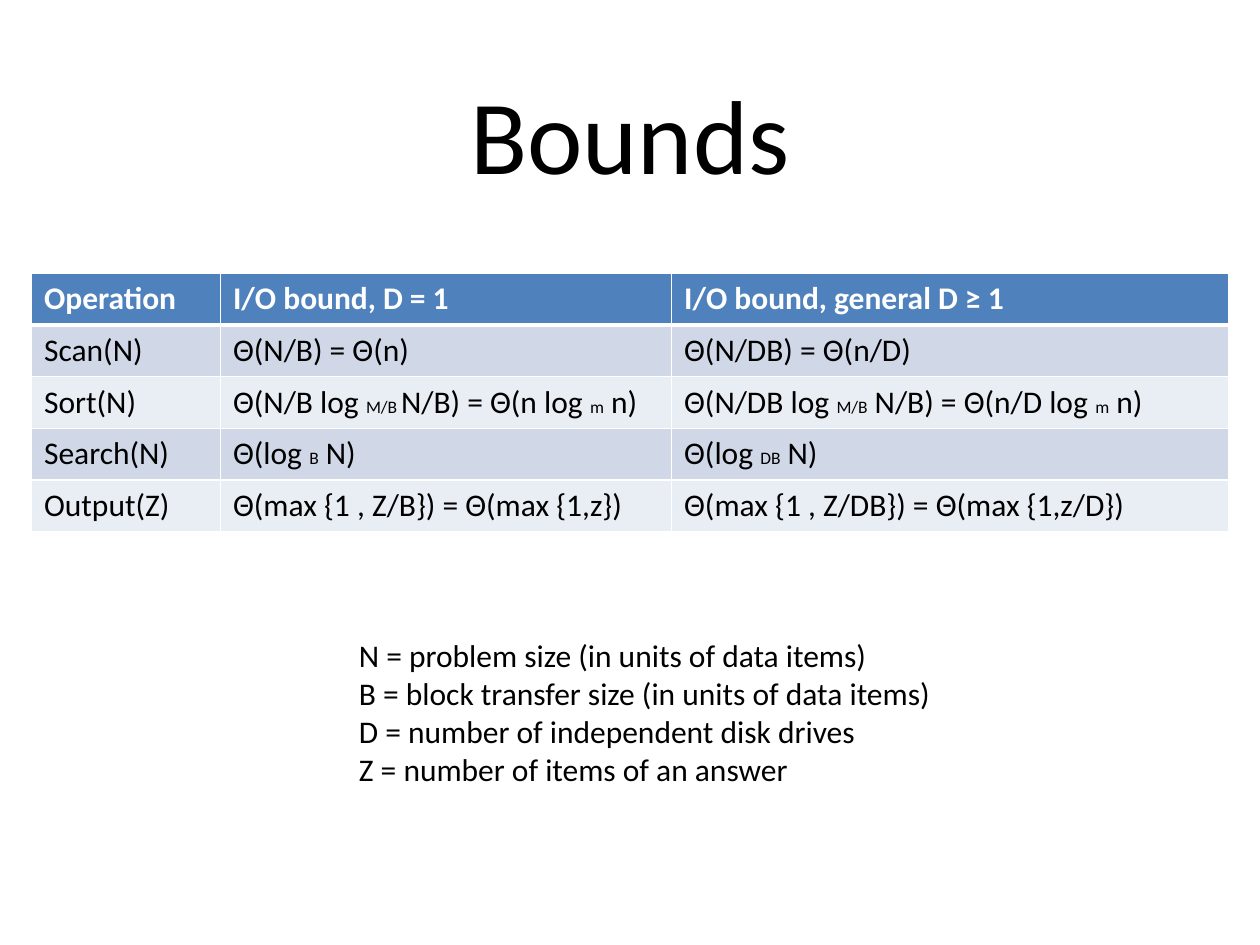
import pptx
import pptx.dml.color
import pptx.enum.text
import pptx.oxml
import pptx.oxml.ns
import pptx.util

Inches = pptx.util.Inches
Pt = pptx.util.Pt
RGBColor = pptx.dml.color.RGBColor

BLACK = RGBColor(0, 0, 0)
WHITE = RGBColor(255, 255, 255)
BLUE = RGBColor(0x4F, 0x81, 0xBD)
BANDS = RGBColor(0xD0, 0xD8, 0xE8), RGBColor(0xE9, 0xED, 0xF4)

# Text between a pair of tildes is set small, as the base of a logarithm.
BOUNDS = [
    ["Operation", "I/O bound, D = 1", "I/O bound, general D ≥ 1"],
    ["Scan(N)", "Θ(N/B) = Θ(n)", "Θ(N/DB) = Θ(n/D)"],
    ["Sort(N)", "Θ(N/B log ~M/B ~N/B) = Θ(n log ~m~ n)",
     "Θ(N/DB log ~M/B~ N/B) = Θ(n/D log ~m~ n)"],
    ["Search(N)", "Θ(log ~B~ N)", "Θ(log ~DB~ N)"],
    ["Output(Z)", "Θ(max {1 , Z/B}) = Θ(max {1,z})",
     "Θ(max {1 , Z/DB}) = Θ(max {1,z/D})"],
]
TERMS = [
    "N = problem size (in units of data items)",
    "B = block transfer size (in units of data items)",
    "D = number of independent disk drives",
    "Z = number of items of an answer",
]


class Deck:
    font = "Calibri"
    size = 18
    small = 10

    def __init__(self, wide, high):
        self.file = pptx.Presentation()
        self.file.slide_width = Inches(wide)
        self.file.slide_height = Inches(high)
        self.slide = self.file.slides.add_slide(self.file.slide_layouts[5])

    def text(self, para, words, size=size, color=BLACK, bold=False):
        for i, part in enumerate(words.split("~")):
            run = para.add_run()
            run.text = part
            run.font.name = self.font
            run.font.size = Pt(self.small if i % 2 else size)
            run.font.bold = bold
            run.font.color.rgb = color

    def title(self, words, left, top, width, height):
        shape = self.slide.shapes.title
        shape.left, shape.top = Inches(left), Inches(top)
        shape.width, shape.height = Inches(width), Inches(height)
        frame = shape.text_frame
        frame.auto_size = pptx.enum.text.MSO_AUTO_SIZE.NONE
        para = frame.paragraphs[0]
        para.alignment = pptx.enum.text.PP_ALIGN.CENTER
        self.text(para, words, 60)

    def lines(self, rows, left, top, width, height):
        box = self.slide.shapes.add_textbox(
            Inches(left), Inches(top), Inches(width), Inches(height))
        frame = box.text_frame
        frame.word_wrap = True
        for i, row in enumerate(rows):
            para = frame.add_paragraph() if i else frame.paragraphs[0]
            self.text(para, row)

    def edge(self, cell, side, width):
        line = pptx.oxml.parse_xml(
            f'<a:ln{side} {pptx.oxml.ns.nsdecls("a")} w="{Pt(width)}">'
            f'<a:solidFill><a:srgbClr val="{WHITE}"/></a:solidFill></a:ln{side}>')
        cell._tc.get_or_add_tcPr().append(line)

    def table(self, rows, left, top, widths, high):
        grid = self.slide.shapes.add_table(
            len(rows), len(widths), Inches(left), Inches(top),
            Inches(sum(widths)), Inches(high * len(rows))).table
        for col, width in zip(grid.columns, widths):
            col.width = Inches(width)
        for r, row in enumerate(rows):
            head = r == 0
            for c, words in enumerate(row):
                cell = grid.cell(r, c)
                for side in "LRTB":
                    thick = (head and side == "B") or (r == 1 and side == "T")
                    self.edge(cell, side, 3 if thick else 1)
                cell.fill.solid()
                cell.fill.fore_color.rgb = BLUE if head else BANDS[(r - 1) % 2]
                self.text(cell.text_frame.paragraphs[0], words,
                          color=WHITE if head else BLACK, bold=head)


def main():
    deck = Deck(10, 7.5)
    deck.title("Bounds", 0, 0.5, 10, 1.11)
    deck.lines(TERMS, 2.75, 5, 7.25, 1.31)
    deck.table(BOUNDS, 0.25, 2.17, [1.5, 3.58, 4.42], 0.41)
    deck.file.save("out.pptx")


if __name__ == "__main__":
    main()
